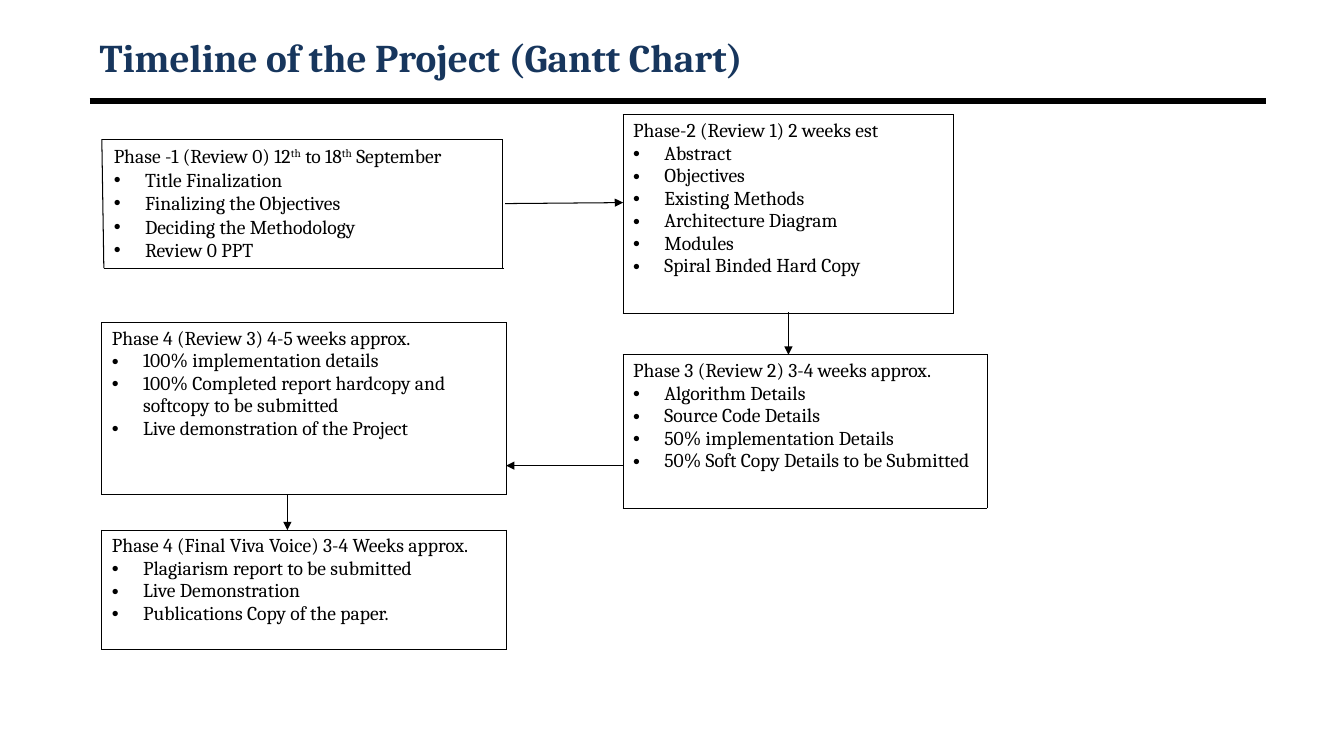
from lxml import etree
from pptx import Presentation
from pptx.dml.color import RGBColor
from pptx.enum.shapes import MSO_CONNECTOR as Connector
from pptx.enum.text import MSO_ANCHOR as Anchor, MSO_AUTO_SIZE as AutoSize
from pptx.oxml.ns import qn
from pptx.util import Emu, Pt

PX = 9144  # 100 px to the inch
FONT = "Cambria"
BLACK = "000000"
NAVY = "17365D"
INDENT = 31
THIN = 0.75

# Left, top, width, height, heading, bullet items
PHASE_TABLES = [
    (618, 114, 328, 197, "Phase-2 (Review 1) 2 weeks est",
     ["Abstract", "Objectives", "Existing Methods", "Architecture Diagram",
      "Modules", "Spiral Binded Hard Copy"]),
    (618, 352, 361, 152, "Phase 3 (Review 2) 3-4 weeks approx.",
     ["Algorithm Details", "Source Code Details", "50% implementation Details",
      "50% Soft Copy Details to be Submitted"]),
    (101, 320, 401, 171, "Phase 4 (Review 3) 4-5 weeks approx.",
     ["100% implementation details",
      "100% Completed report hardcopy and softcopy to be submitted",
      "Live demonstration of the Project"]),
    (101, 526, 401, 118, "Phase 4 (Final Viva Voice) 3-4 Weeks approx.",
     ["Plagiarism report to be submitted", "Live Demonstration",
      "Publications Copy of the paper."]),
]
FIRST_PHASE_BORDER = [
    (101, 138, 498, 138),
    (101, 138, 103, 266),
    (103, 266, 500, 266),
    (498, 266, 498, 138),
]
ARROWS = [
    (501, 202, 618, 201),
    (782, 310, 782, 352),
    (618, 462, 502, 462),
    (285, 491, 285, 526),
]


def px(*lengths):
    return [Emu(length * PX) for length in lengths]


def color(hex_string):
    return RGBColor.from_string(hex_string)


def add_child(parent, tag, **attributes):
    child = etree.SubElement(parent, qn(tag))
    for name, value in attributes.items():
        child.set(name, str(value))
    return child


def add_bullet(paragraph):
    properties = paragraph._p.get_or_add_pPr()
    properties.set("marL", str(INDENT * PX))
    properties.set("indent", str(-INDENT * PX))
    bullet_color = add_child(properties, "a:buClr")
    add_child(bullet_color, "a:srgbClr", val=BLACK)
    add_child(properties, "a:buFont", typeface="Arial")
    add_child(properties, "a:buChar", char="•")


def write(paragraph, text, size=14, hex_color=BLACK, bold=False, bullet=False):
    """Write one paragraph; text between carets is superscript."""
    if bullet:
        add_bullet(paragraph)
    for position, part in enumerate(text.split("^")):
        run = paragraph.add_run()
        run.text = part
        run.font.name = FONT
        run.font.size = Pt(size)
        run.font.bold = bold
        run.font.color.rgb = color(hex_color)
        if position % 2:
            run._r.get_or_add_rPr().set("baseline", "30000")


def write_phase(text_frame, heading, items):
    write(text_frame.paragraphs[0], heading)
    for item in items:
        write(text_frame.add_paragraph(), item, bullet=True)


def add_text_box(slide, left, top, width, height):
    text_frame = slide.shapes.add_textbox(*px(left, top, width, height)).text_frame
    text_frame.word_wrap = True
    return text_frame


def add_line(slide, x1, y1, x2, y2, width=THIN, arrow=False):
    connector = slide.shapes.add_connector(Connector.STRAIGHT, *px(x1, y1, x2, y2))
    connector.line.color.rgb = color(BLACK)
    connector.line.width = Pt(width)
    if arrow:
        add_child(connector.line._get_or_add_ln(), "a:tailEnd", type="triangle")
    add_child(connector._element.spPr, "a:effectLst")


def add_phase_table(slide, left, top, width, height, heading, items):
    table = slide.shapes.add_table(1, 1, *px(left, top, width, height)).table
    table.first_row = False
    table.horz_banding = False
    cell = table.cell(0, 0)
    properties = cell._tc.get_or_add_tcPr()
    for side in "LRTB":
        border = add_child(properties, f"a:ln{side}", w=Pt(THIN))
        fill = add_child(border, "a:solidFill")
        add_child(fill, "a:srgbClr", val=BLACK)
    cell.fill.background()
    write_phase(cell.text_frame, heading, items)


def main():
    presentation = Presentation()
    presentation.slide_width, presentation.slide_height = px(1333, 750)
    slide = presentation.slides.add_slide(presentation.slide_layouts[6])

    # Title and rule
    add_line(slide, 89, 100, 1256, 100, width=4.5)
    title = add_text_box(slide, 89, 30, 1167, 53)
    title.vertical_anchor = Anchor.MIDDLE
    write(title.paragraphs[0], "Timeline of the Project (Gantt Chart)",
          size=28, hex_color=NAVY, bold=True)

    # First phase, framed by separate lines
    first_phase = add_text_box(slide, 103, 138, 398, 128)
    first_phase.auto_size = AutoSize.SHAPE_TO_FIT_TEXT
    write_phase(first_phase, "Phase -1 (Review 0) 12^th^ to 18^th^ September",
                ["Title Finalization", "Finalizing the Objectives",
                 "Deciding the Methodology", "Review 0 PPT"])
    for ends in FIRST_PHASE_BORDER:
        add_line(slide, *ends)

    # Later phases and the flow between them
    for phase in PHASE_TABLES:
        add_phase_table(slide, *phase)
    for ends in ARROWS:
        add_line(slide, *ends, arrow=True)

    presentation.save("out.pptx")


if __name__ == "__main__":
    main()
